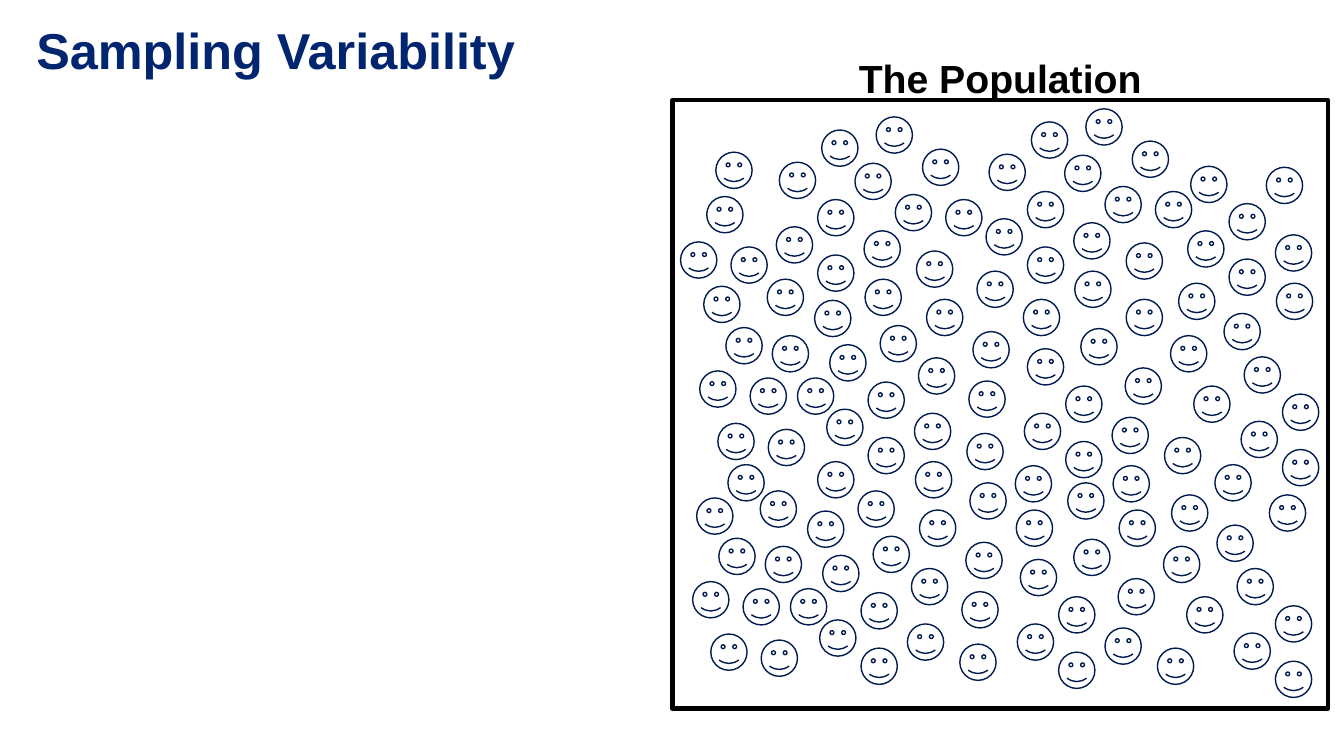
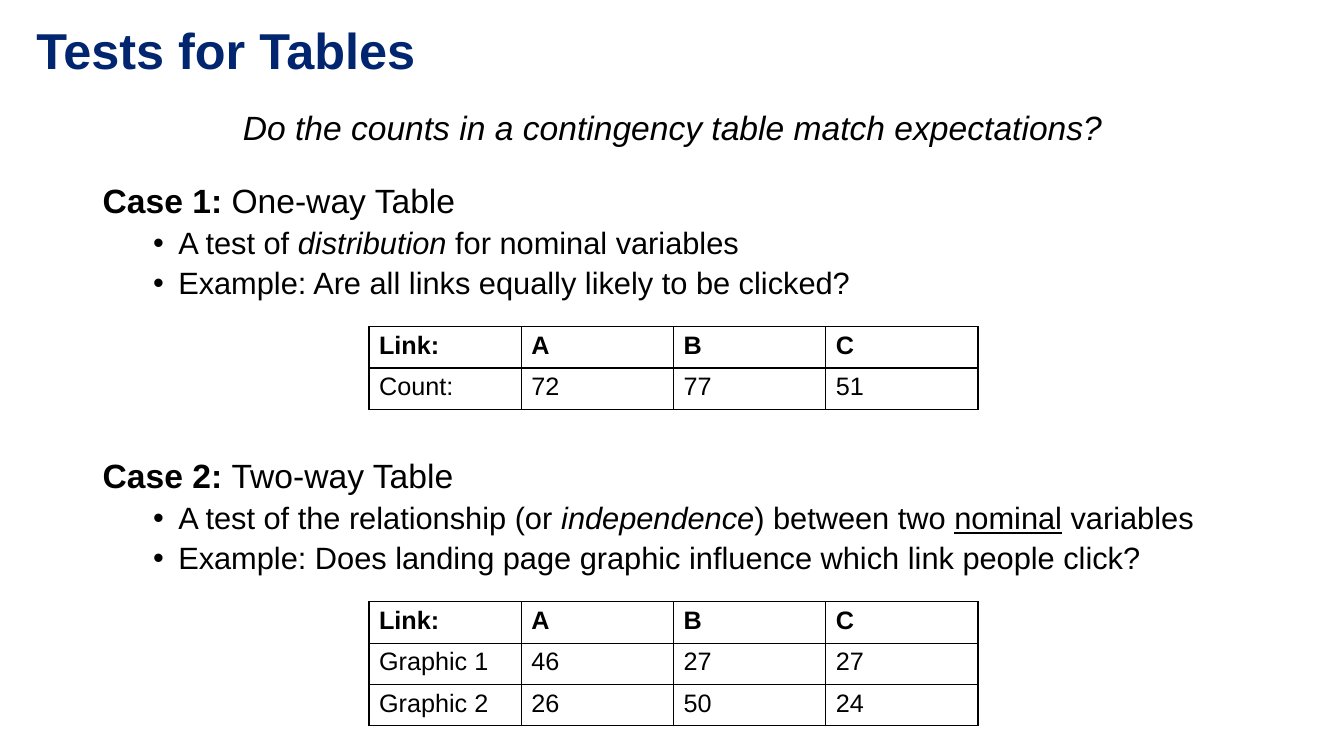
from lxml import etree
from pptx import Presentation
from pptx.dml.color import RGBColor
from pptx.enum.shapes import MSO_SHAPE
from pptx.enum.text import MSO_ANCHOR, MSO_AUTO_SIZE, PP_ALIGN
from pptx.oxml.ns import qn
from pptx.util import Inches, Pt

NAVY = RGBColor(0x01, 0x25, 0x6E)
FACE_LINE = RGBColor(0x01, 0x1B, 0x51)
BLACK = RGBColor(0, 0, 0)
FONT = "Arial"
LEFT, CENTER = PP_ALIGN.LEFT, PP_ALIGN.CENTER
MIDDLE = MSO_ANCHOR.MIDDLE
NO_FIT = MSO_AUTO_SIZE.NONE
SMILEY, RECT = MSO_SHAPE.SMILEY_FACE, MSO_SHAPE.RECTANGLE

SLIDE_W, SLIDE_H = 13.33, 7.5
TITLE_H = 1.06
LINE_SPACING = 0.9
FACE = 0.36
ROW_H = 0.41
COL_W = 1.51

TOP = [(1.48, 0.3), (3.56, 0.22)]
TOP_RIGHT = [(5.56, 0.34)]
MID_LEFT, MID_RIGHT = [(1.98, 2.11)], [(3.94, 2.15)]
LOW_LEFT, LOW_RIGHT = [(1.91, 4.2)], [(3.87, 4.24)]
EDGE = [(6.09, 2.23), (6.02, 4.33)]
ROW_PAIRS = [(1.41, 2.4), (3.49, 2.32), (5.49, 2.44)]
WEST = [(0.53, 2.26), (0.46, 4.35)]
LEFT_HALF, RIGHT_HALF = MID_LEFT + LOW_LEFT, MID_RIGHT + LOW_RIGHT
INNER = TOP + LEFT_HALF + RIGHT_HALF

CROWD = [
    ([(-0.42, 0.32), (-0.45, 0.96), (-0.04, 0.69), (-0.04, 1.24)],
     INNER + TOP_RIGHT + EDGE),
    ([(0.42, 1)], INNER + TOP_RIGHT),
    ([(1, 0.19), (0.94, 1.2)], INNER),
    ([(0.43, 1.48), (-0.54, 1.48)],
     TOP + MID_LEFT + MID_RIGHT + TOP_RIGHT + ROW_PAIRS),
    ([(0, 0), (0.54, -0.13), (0.73, 0.64)], TOP),
    ([(0.33, 0.33)], TOP + TOP_RIGHT),
    ([(1.23, 0.69)], TOP + RIGHT_HALF),
    ([(0.54, -0.13), (0.08, 0.13), (0.46, 0.45), (0.96, 0.68), (-0.57, -0.12)],
     LEFT_HALF),
    ([(0.11, 0.12), (0.55, 0.51), (0.56, -0.17), (-0.46, -0.17)], RIGHT_HALF),
    ([(-0.62, -0.11)], EDGE),
    ([(0, 0), (0.46, 0.08), (0.24, 0.5), (-0.26, 0.43), (-0.08, 0.95),
      (0.42, 1.01), (0.71, 0.5)], WEST),
    ([(0.43, 0.52), (0.34, 0.96), (0.08, 1.41), (0.58, 1.46), (0.31, 1.85),
      (0.55, 3.62), (0.24, 3.95), (5.38, 3.62)], [(0, 0)]),
]

CASES = [
    (1.78, "Case 1: ", "One-way Table",
     [[("A test of ", ""), ("distribution ", "i"), ("for nominal variables", "")],
      [("Example: Are all links equally likely to be clicked?", "")]],
     [["Link:", "A", "B", "C"],
      ["Count:", "72", "77", "51"]]),
    (4.51, "Case 2: ", "Two-way Table",
     [[("A test of the relationship (or ", ""), ("independence", "i"),
       (") between two ", ""), ("nominal", "u"), (" variables", "")],
      [("Example: Does landing page graphic influence which link people click?", "")]],
     [["Link:", "A", "B", "C"],
      ["Graphic 1", "46", "27", "27"],
      ["Graphic 2", "26", "50", "24"]]),
]


def add_runs(p, runs, size, color=BLACK):
    """Add (text, style) runs, where style holds any of the letters b, i and u."""
    for text, style in runs:
        r = p.add_run()
        r.text = text
        font = r.font
        font.name, font.size = FONT, Pt(size)
        font.color.rgb = color
        font.bold, font.italic, font.underline = (c in style for c in "biu")


def add_text(slide, x, y, w, h):
    """Add an empty wrapping text box and return its text frame."""
    tf = slide.shapes.add_textbox(Inches(x), Inches(y), Inches(w), Inches(h)).text_frame
    tf.word_wrap = True
    return tf


def add_outline(slide, kind, x, y, w, h, color, width):
    """Add an unfilled preset shape."""
    sp = slide.shapes.add_shape(kind, Inches(x), Inches(y), Inches(w), Inches(h))
    sp.shadow.inherit = False
    sp.fill.background()
    sp.line.color.rgb = color
    sp.line.width = Pt(width)


def add_titled_slide(prs, title):
    """Add a title-only slide with the shared title style."""
    slide = prs.slides.add_slide(prs.slide_layouts[5])
    sp = slide.shapes.title
    sp.left, sp.top = Inches(0), Inches(0)
    sp.width, sp.height = Inches(SLIDE_W), Inches(TITLE_H)
    tf = sp.text_frame
    tf.auto_size = NO_FIT
    tf.vertical_anchor = MIDDLE
    p = tf.paragraphs[0]
    p.alignment = LEFT
    p.line_spacing = LINE_SPACING
    pPr = p._p.get_or_add_pPr()
    pPr.set("marL", str(Inches(0.26)))
    pPr.set("indent", "0")
    add_runs(p, [(title, "b")], 36, NAVY)
    return slide


def add_population(slide, x, y, w, h):
    """Draw the framed crowd of faces with its heading above."""
    p = add_text(slide, x, y - 0.5, w, 0.57).paragraphs[0]
    p.alignment = CENTER
    add_runs(p, [("The Population", "b")], 28)
    add_outline(slide, RECT, x, y, w, h, BLACK, 3)
    for cluster, anchors in CROWD:
        for ax, ay in anchors:
            for dx, dy in cluster:
                add_outline(slide, SMILEY, x + ax + dx, y + ay + dy,
                            FACE, FACE, FACE_LINE, 1)


def set_borders(cell):
    """Give a cell thin black borders on all sides."""
    tcPr = cell._tc.get_or_add_tcPr()
    for i, side in enumerate(("lnL", "lnR", "lnT", "lnB")):
        ln = etree.Element(qn("a:" + side), w=str(Pt(1)))
        fill = etree.SubElement(ln, qn("a:solidFill"))
        etree.SubElement(fill, qn("a:srgbClr"), val=str(BLACK))
        tcPr.insert(i, ln)


def add_counts(slide, x, y, rows):
    """Add a plain bordered table with a bold first row."""
    n_rows, n_cols = len(rows), len(rows[0])
    table = slide.shapes.add_table(n_rows, n_cols, Inches(x), Inches(y),
                                   Inches(COL_W * n_cols), Inches(ROW_H * n_rows)).table
    table.first_row = table.horz_banding = False
    for col in table.columns:
        col.width = Inches(COL_W)
    for i, values in enumerate(rows):
        table.rows[i].height = Inches(ROW_H)
        for j, value in enumerate(values):
            cell = table.cell(i, j)
            cell.fill.background()
            set_borders(cell)
            add_runs(cell.text_frame.paragraphs[0], [(value, "" if i else "b")], 18)


def add_case(slide, x, y, w, label, name, bullets, rows):
    """Add a case heading, its bullets and the table below them."""
    tf = add_text(slide, x, y, w, 1.35)
    p = tf.paragraphs[0]
    p.line_spacing = LINE_SPACING
    add_runs(p, [(label, "b"), (name, "")], 24)
    for runs in bullets:
        p = tf.add_paragraph()
        p.line_spacing = LINE_SPACING
        p.space_before = Pt(5)
        pPr = p._p.get_or_add_pPr()
        pPr.set("marL", str(Inches(0.75)))
        pPr.set("indent", str(Inches(-0.25)))
        etree.SubElement(pPr, qn("a:buFont"), typeface=FONT)
        etree.SubElement(pPr, qn("a:buChar"), char="•")
        add_runs(p, runs, 22)
    add_counts(slide, x + 2.74, y + 1.46, rows)


def build_sampling(prs):
    """Build the sampling variability slide."""
    slide = add_titled_slide(prs, "Sampling Variability")
    add_population(slide, 6.67, 0.99, 6.5, 6.04)


def build_tests(prs):
    """Build the slide on tests for tables."""
    slide = add_titled_slide(prs, "Tests for Tables")
    x, w = 0.92, 11.5
    p = add_text(slide, x, TITLE_H, w, 0.5).paragraphs[0]
    p.alignment = CENTER
    p.line_spacing = LINE_SPACING
    add_runs(p, [("Do the counts in a contingency table match expectations?", "i")], 24)
    for y, *case in CASES:
        add_case(slide, x, y, w, *case)


def main():
    """Build and save the presentation."""
    prs = Presentation()
    prs.slide_width, prs.slide_height = Inches(SLIDE_W), Inches(SLIDE_H)
    build_sampling(prs)
    build_tests(prs)
    prs.save("out.pptx")


if __name__ == "__main__":
    main()
